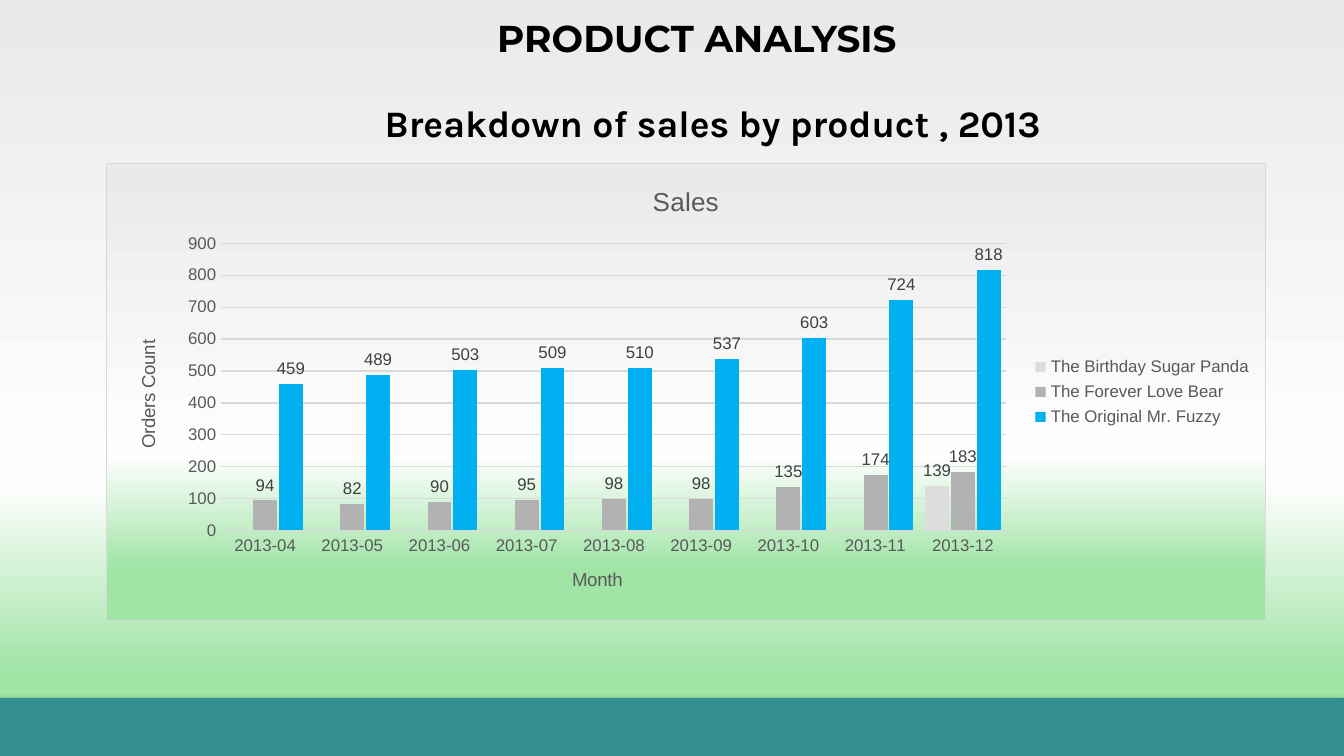
from pptx import Presentation
from pptx.chart.data import CategoryChartData
from pptx.dml.color import RGBColor
from pptx.enum.chart import XL_CHART_TYPE, XL_LABEL_POSITION, XL_LEGEND_POSITION, XL_TICK_MARK
from pptx.enum.shapes import MSO_SHAPE
from pptx.enum.text import MSO_ANCHOR, MSO_AUTO_SIZE, PP_ALIGN
from pptx.oxml import parse_xml
from pptx.oxml.ns import nsdecls, qn
from pptx.util import Pt

COLUMNS = XL_CHART_TYPE.COLUMN_CLUSTERED
OUTSIDE_END = XL_LABEL_POSITION.OUTSIDE_END
LEGEND_RIGHT = XL_LEGEND_POSITION.RIGHT
NO_TICK = XL_TICK_MARK.NONE
RECT = MSO_SHAPE.RECTANGLE
TOP = MSO_ANCHOR.TOP
GROW = MSO_AUTO_SIZE.SHAPE_TO_FIT_TEXT
CENTER = PP_ALIGN.CENTER

PX = 914400 / 134.4
COLORS = {
    "text": "000000", "axis": "595959", "label": "404040", "rule": "D9D9D9",
    "bar": "348E90", "panda": "DDDDDD", "bear": "B2B2B2", "fuzzy": "00B0F0",
}
GRADIENT = [(0, "EAEAEA"), (64, "FEFEFE"), (89, "A0E4A6")]
FORMATS = {
    "title": {"name": "Montserrat", "size": Pt(20), "bold": True, "color": "text"},
    "subtitle": {"name": "Karla", "size": Pt(20), "bold": True, "color": "text"},
    "chart": {"name": "Arial", "size": Pt(10), "color": "text"},
    "chart title": {"name": "Arial", "size": Pt(14), "bold": False, "color": "axis"},
    "axis title": {"name": "Arial", "size": Pt(10), "bold": False, "color": "axis"},
    "axis": {"name": "Arial", "size": Pt(9), "color": "axis"},
    "label": {"name": "Arial", "size": Pt(9), "color": "label"},
}
MONTHS = [f"2013-{m:02}" for m in range(4, 13)]
SALES = [
    ("The Birthday Sugar Panda", "panda", [None] * 8 + [139]),
    ("The Forever Love Bear", "bear", [94, 82, 90, 95, 98, 98, 135, 174, 183]),
    ("The Original Mr. Fuzzy", "fuzzy", [459, 489, 503, 509, 510, 537, 603, 724, 818]),
]


def px(*values):
    return [round(v * PX) for v in values]


def rgb(name):
    return RGBColor.from_string(COLORS[name])


def gradient_xml():
    stops = "".join(
        f'<a:gs pos="{pos * 1000}"><a:srgbClr val="{color}"/></a:gs>' for pos, color in GRADIENT
    )
    return (f'<a:gradFill {nsdecls("a")} rotWithShape="1"><a:gsLst>{stops}</a:gsLst>'
            '<a:lin ang="5400000" scaled="0"/></a:gradFill>')


class Deck:
    def __init__(self, prs):
        self.s = prs.slides.add_slide(prs.slide_layouts[0])

    def style(self, font, kind):
        for key, value in FORMATS[kind].items():
            if key == "color":
                font.color.rgb = rgb(value)
            else:
                setattr(font, key, value)

    def line(self, line):
        line.color.rgb = rgb("rule")
        line.width = Pt(0.75)

    def background(self):
        self.s.background.fill.solid()
        solid = self.s.background._cSld.find(".//" + qn("a:solidFill"))
        solid.getparent().replace(solid, parse_xml(gradient_xml()))

    def bar(self, box):
        sp = self.s.shapes.add_shape(RECT, *px(*box))
        sp.fill.solid()
        sp.fill.fore_color.rgb = rgb("bar")
        sp.line.fill.background()
        sp.shadow.inherit = False
        effects = sp._element.spPr.find(qn("a:effectLst"))
        effects.append(parse_xml(
            f'<a:outerShdw {nsdecls("a")} blurRad="{Pt(4)}" dist="{Pt(3)}" dir="8100000">'
            '<a:srgbClr val="000000"><a:alpha val="40000"/></a:srgbClr></a:outerShdw>'
        ))

    def heading(self, idx, text, kind, box):
        sp = self.s.placeholders[idx]
        sp.left, sp.top, sp.width, sp.height = px(*box)
        tf = sp.text_frame
        tf.word_wrap = True
        tf.auto_size = GROW
        tf.vertical_anchor = TOP
        p = tf.paragraphs[0]
        p.alignment = CENTER
        p.line_spacing = 1.0
        p.space_before = Pt(0)
        r = p.add_run()
        r.text = text
        self.style(r.font, kind)

    def chart_text(self, tf, text, kind):
        r = tf.paragraphs[0].add_run()
        r.text = text
        self.style(r.font, kind)

    def axis(self, axis, title):
        self.chart_text(axis.axis_title.text_frame, title, "axis title")
        axis.major_tick_mark = axis.minor_tick_mark = NO_TICK
        self.style(axis.tick_labels.font, "axis")

    def chart(self, box, plot_box):
        data = CategoryChartData()
        data.categories = MONTHS
        for name, _, values in SALES:
            data.add_series(name, values)
        chart = self.s.shapes.add_chart(COLUMNS, *px(*box), data).chart
        self.style(chart.font, "chart")
        self.chart_text(chart.chart_title.text_frame, "Sales", "chart title")
        chart.has_legend = True
        chart.legend.position = LEGEND_RIGHT
        chart.legend.include_in_layout = False
        self.style(chart.legend.font, "axis")

        months, orders = chart.category_axis, chart.value_axis
        self.axis(months, "Month")
        self.axis(orders, "Orders Count")
        months.has_major_gridlines = False
        self.line(months.format.line)
        self.line(orders.major_gridlines.format.line)
        orders.format.line.fill.background()
        orders.minimum_scale, orders.maximum_scale, orders.major_unit = 0, 900, 100
        body = orders.axis_title.text_frame._txBody.find(qn("a:bodyPr"))
        body.set("rot", "-5400000")
        body.set("vert", "horz")

        plot = chart.plots[0]
        plot.gap_width, plot.overlap = 49, -8
        plot.vary_by_categories = False
        for series, (_, color, _) in zip(plot.series, SALES):
            series.format.fill.solid()
            series.format.fill.fore_color.rgb = rgb(color)
            series.invert_if_negative = False
            labels = series.data_labels
            labels.show_value = True
            labels.position = OUTSIDE_END
            self.style(labels.font, "label")
        self.chart_frame(chart, box, plot_box)

    def chart_frame(self, chart, box, plot_box):
        x, y, w, h = plot_box
        layout = {"x": (x - box[0]) / box[2], "y": (y - box[1]) / box[3],
                  "w": w / box[2], "h": h / box[3]}
        parts = "".join(f'<c:{key} val="{value:.4f}"/>' for key, value in layout.items())
        area = chart._chartSpace.find(".//" + qn("c:plotArea"))
        for old in area.findall(qn("c:layout")):
            area.remove(old)
        area.insert(0, parse_xml(
            f'<c:layout {nsdecls("c")}><c:manualLayout><c:layoutTarget val="inner"/>'
            f'<c:xMode val="edge"/><c:yMode val="edge"/>{parts}</c:manualLayout></c:layout>'
        ))
        chart._chartSpace.find(qn("c:chart")).addnext(parse_xml(
            f'<c:spPr {nsdecls("c", "a")}>{gradient_xml()}<a:ln w="{Pt(0.75)}"><a:solidFill>'
            f'<a:srgbClr val="{COLORS["rule"]}"/></a:solidFill></a:ln></c:spPr>'
        ))


def main():
    prs = Presentation()
    prs.slide_width, prs.slide_height = px(1344, 756)
    deck = Deck(prs)
    deck.background()
    deck.bar((0, 698, 1344, 58))
    deck.chart((106, 163, 1160, 458), (221, 243, 786, 288))
    deck.heading(1, "Breakdown of sales by product , 2013", "subtitle", (265, 93, 896, 59))
    deck.heading(0, "PRODUCT ANALYSIS", "title", (384, 8, 626, 59))
    prs.save("out.pptx")


if __name__ == "__main__":
    main()
